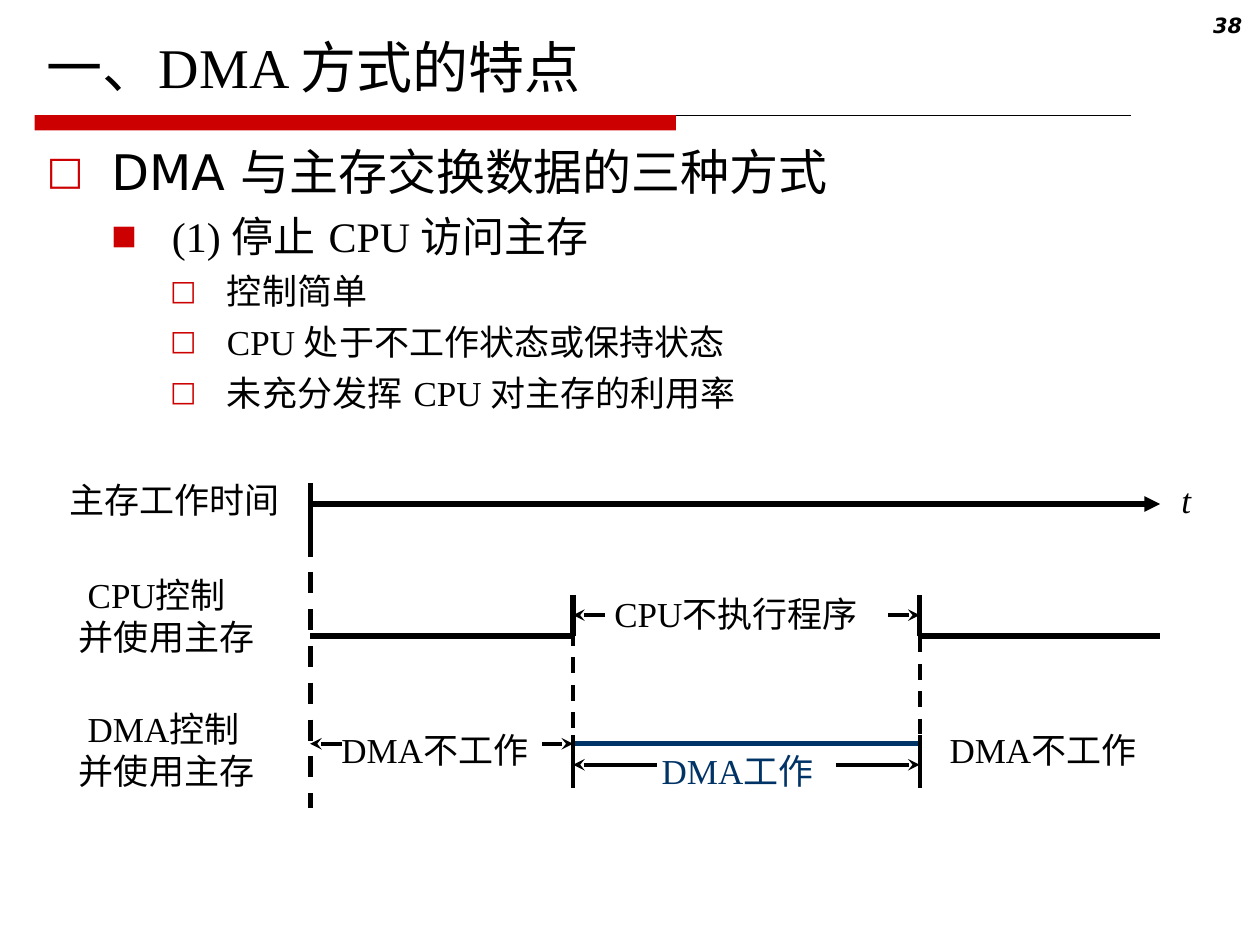
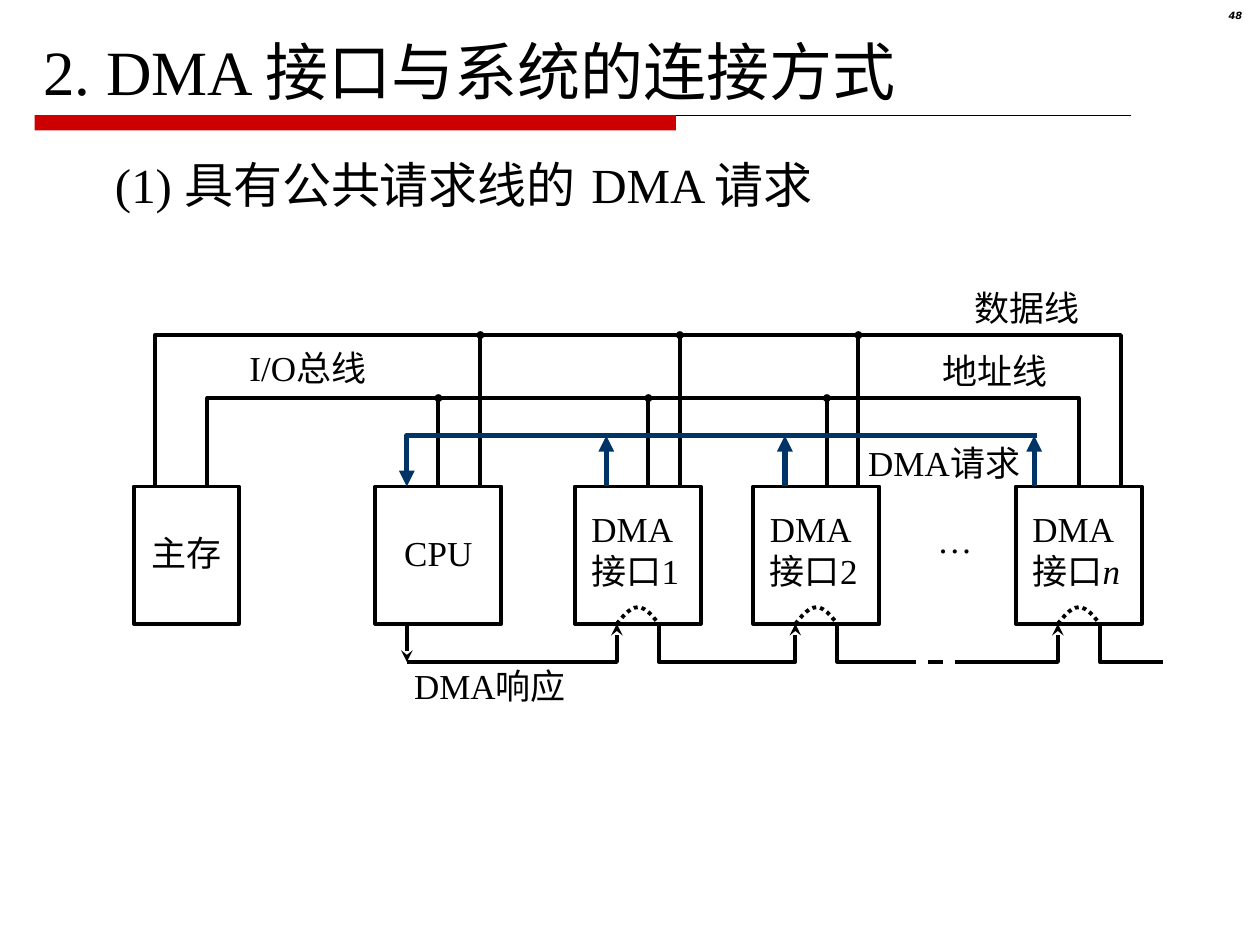
from dataclasses import dataclass
from math import pi, sin

from lxml.etree import SubElement
from pptx import Presentation
from pptx.dml.color import RGBColor
from pptx.enum.dml import MSO_LINE
from pptx.enum.shapes import MSO_CONNECTOR, MSO_SHAPE
from pptx.enum.text import MSO_ANCHOR, MSO_AUTO_SIZE, PP_ALIGN
from pptx.oxml.ns import qn
from pptx.shapes.autoshape import Shape
from pptx.shapes.connector import Connector
from pptx.slide import Slide
from pptx.util import Pt


@dataclass(frozen=True)
class Theme:
    ink: str = "000000"
    accent: str = "CC0000"
    signal: str = "003366"
    serif: str = "Times New Roman"
    sans: str = "DejaVu Sans"
    title: float = 32
    big_title: float = 36
    heading: float = 28
    item: float = 24
    label: float = 20
    thin: float = 0.5
    medium: float = 2.25
    thick: float = 3


T = Theme()


@dataclass(frozen=True)
class Box:
    x: float
    y: float
    w: float
    h: float

    def emu(self) -> tuple:
        return Pt(self.x), Pt(self.y), Pt(self.w), Pt(self.h)


@dataclass(frozen=True)
class Label:
    text: str
    x: float
    y: float
    w: float
    h: float = 31.5
    color: str = T.ink
    italic: bool = False
    first_indent: float = 0


@dataclass(frozen=True)
class Line:
    x1: float
    y1: float
    x2: float
    y2: float
    width: float = T.medium
    color: str = T.ink
    tail: str = ""
    dash: MSO_LINE | None = None


@dataclass(frozen=True)
class Bullet:
    char: str
    left: float
    hang: float
    before: float
    size: float
    scale: int


BULLETS = (
    Bullet("□", 37, 38.5, 7, T.heading, 80),
    Bullet("■", 71.5, 34.5, 6, T.item, 64),
    Bullet("□", 103, 32.5, 5, T.label, 80),
)


@dataclass(frozen=True)
class Interface:
    number: str
    x: float
    request: float = 18
    address: float = 42


def write(p, text: str, *, size: float = T.label, color: str = T.ink,
          font: str = T.serif, bold: bool = False, italic: bool = False) -> None:
    """Add a run: Latin letters in the given font, Chinese in the sans font."""
    r = p.add_run()
    r.text = text
    f = r.font
    f.size, f.bold, f.italic, f.name = Pt(size), bold, italic, font
    f.color.rgb = RGBColor.from_string(color)
    SubElement(r._r.get_or_add_rPr(), qn("a:ea")).set("typeface", T.sans)


def set_indent(p, left: float, first: float) -> None:
    pPr = p._p.get_or_add_pPr()
    pPr.set("marL", str(Pt(left)))
    pPr.set("indent", str(Pt(first)))


def set_bullet(p, b: Bullet) -> None:
    set_indent(p, b.left, -b.hang)
    p.space_before = Pt(b.before)
    pPr = p._p.get_or_add_pPr()
    SubElement(SubElement(pPr, qn("a:buClr")), qn("a:srgbClr")).set("val", T.accent)
    SubElement(pPr, qn("a:buSzPct")).set("val", str(b.scale * 1000))
    SubElement(pPr, qn("a:buFont")).set("typeface", T.sans)
    SubElement(pPr, qn("a:buChar")).set("char", b.char)


def style_line(obj: Shape | Connector, width: float, color: str,
               tail: str = "", dash: MSO_LINE | None = None) -> None:
    obj.line.color.rgb = RGBColor.from_string(color)
    obj.line.width = Pt(width)
    if dash is not None:
        obj.line.dash_style = dash
    if tail:
        end = SubElement(obj.line._get_or_add_ln(), qn("a:tailEnd"))
        end.set("type", tail)
        if tail == "oval":
            end.set("w", "sm")
            end.set("len", "sm")


def add_line(s: Slide, line: Line) -> Connector:
    c = s.shapes.add_connector(MSO_CONNECTOR.STRAIGHT, Pt(line.x1), Pt(line.y1),
                               Pt(line.x2), Pt(line.y2))
    style_line(c, line.width, line.color, line.tail, line.dash)
    SubElement(c._element.spPr, qn("a:effectLst"))
    return c


def add_path(s: Slide, points: list[tuple[float, float]], width: float = T.medium,
             color: str = T.ink, tail: str = "", dash: MSO_LINE | None = None) -> None:
    """Draw an open, unfilled polyline."""
    start, *rest = [(Pt(x), Pt(y)) for x, y in points]
    builder = s.shapes.build_freeform(*start)
    builder.add_line_segments(rest, close=False)
    sp = builder.convert_to_shape()
    sp.shadow.inherit = False
    sp.fill.background()
    style_line(sp, width, color, tail, dash)


def add_label(s: Slide, label: Label) -> None:
    sp = s.shapes.add_textbox(*Box(label.x, label.y, label.w, label.h).emu())
    tf = sp.text_frame
    tf.word_wrap = True
    tf.auto_size = MSO_AUTO_SIZE.NONE
    tf.margin_right = 0
    for i, text in enumerate(label.text.split("\n")):
        p = tf.add_paragraph() if i else tf.paragraphs[0]
        if i == 0 and label.first_indent:
            set_indent(p, 0, label.first_indent)
        write(p, text, color=label.color, italic=label.italic)


def add_block(s: Slide, x: float, w: float) -> Shape:
    """Draw one outlined unit of the bus diagram, ready for text."""
    sp = s.shapes.add_shape(MSO_SHAPE.RECTANGLE, *Box(x, UNIT_TOP, w, UNIT_BOTTOM - UNIT_TOP).emu())
    sp.shadow.inherit = False
    sp.fill.background()
    style_line(sp, T.medium, T.ink)
    tf = sp.text_frame
    tf.word_wrap = True
    tf.vertical_anchor = MSO_ANCHOR.MIDDLE
    tf.margin_left = tf.margin_right = tf.margin_top = 0
    tf.margin_bottom = Pt(3)
    return sp


def fill_placeholder(sp: Shape, box: Box, anchor: MSO_ANCHOR):
    sp.left, sp.top, sp.width, sp.height = box.emu()
    tf = sp.text_frame
    tf.word_wrap = True
    tf.auto_size = MSO_AUTO_SIZE.NONE
    tf.vertical_anchor = anchor
    p = tf.paragraphs[0]
    p.alignment = PP_ALIGN.LEFT
    return tf


def start_slide(prs, title: str, box: Box, size: float, anchor: MSO_ANCHOR,
                number: str, number_size: float, number_spacing: float) -> Slide:
    """Add a slide with its red band, title and page number."""
    s = prs.slides.add_slide(prs.slide_layouts[1])
    band = s.shapes.add_shape(MSO_SHAPE.RECTANGLE, *Box(19.75, 65.75, 366.5, 8.75).emu())
    band.shadow.inherit = False
    band.fill.solid()
    band.fill.fore_color.rgb = RGBColor.from_string(T.accent)
    band.line.fill.background()
    add_line(s, Line(386.25, 65.75, 646.25, 65.75, T.thin))

    tf = fill_placeholder(s.shapes.title, box, anchor)
    write(tf.paragraphs[0], title, size=size)

    tf = s.shapes.add_textbox(*Box(674.5, 3.5, 42.5, 16.5).emu()).text_frame
    tf.word_wrap = True
    p = tf.paragraphs[0]
    p.alignment, p.line_spacing = PP_ALIGN.RIGHT, number_spacing
    write(p, number, size=number_size, font=T.sans, bold=True, italic=True)
    return s


def build_timing_slide(prs) -> None:
    s = start_slide(prs, "一、DMA 方式的特点", Box(19.5, 9.5, 680.5, 51), T.title,
                    MSO_ANCHOR.BOTTOM, "38", 12, 1.0)
    tf = fill_placeholder(s.placeholders[1], Box(19.5, 77, 680.5, 448), MSO_ANCHOR.TOP)
    items = ((0, "DMA 与主存交换数据的三种方式"), (1, "(1) 停止 CPU 访问主存"),
             (2, "控制简单"), (2, "CPU 处于不工作状态或保持状态"),
             (2, "未充分发挥 CPU 对主存的利用率"))
    for i, (level, text) in enumerate(items):
        p = tf.add_paragraph() if i else tf.paragraphs[0]
        p.level = level
        set_bullet(p, BULLETS[level])
        write(p, text, size=BULLETS[level].size, font=T.serif if level else T.sans)

    start, stop, resume, end = 177.25, 327.5, 525.5, 663
    time_y, gap_y, cpu_y, dma_y, work_y = 288, 351.5, 363.5, 425, 437
    lines = [
        Line(start, 276, start, 306, T.thick),
        Line(start, time_y, end, time_y, T.thick, tail="triangle"),
        Line(start, 306, start, 462, T.thick, dash=MSO_LINE.DASH),
        Line(start, cpu_y, stop, cpu_y, T.thick),
        Line(resume, cpu_y, end, cpu_y, T.thick),
        Line(stop, 360, stop, 426, dash=MSO_LINE.DASH),
        Line(resume, 348, resume, 426, dash=MSO_LINE.DASH),
        Line(stop, dma_y, resume, dma_y, T.thick, T.signal),
    ]
    for x in (stop, resume):
        lines += [Line(x, 340, x, cpu_y, T.thick), Line(x, 420, x, 450)]
    for left, right, y, length in ((stop, resume, gap_y, 18), (start, stop, dma_y, 18),
                                   (stop, resume, work_y, 48)):
        lines += [Line(left + length, y, left, y, tail="stealth"),
                  Line(right - length, y, right, y, tail="stealth")]
    for line in lines:
        add_line(s, line)

    for label in (
        Label("主存工作时间", 32.5, 270, 134.5),
        Label("CPU控制\n并使用主存", 38, 324, 114.5, 55.5, first_indent=5),
        Label("DMA控制\n并使用主存", 38, 401, 114.5, 55.5, first_indent=5),
        Label("CPU不执行程序", 344, 335, 158.5),
        Label("DMA不工作", 188, 412.5, 126),
        Label("DMA不工作", 535.5, 412.5, 126),
        Label("DMA工作", 371, 425, 106, color=T.signal),
        Label("t", 668, 270, 19.5, italic=True),
    ):
        add_label(s, label)


UNIT_TOP, UNIT_BOTTOM = 278, 356.5
DATA_Y, ADDRESS_Y, REQUEST_Y, REPLY_Y = 191.5, 227.5, 249, 378.25
DATA_TAP, REPLY_IN, REPLY_OUT = 60, 24, 48


def build_connection_slide(prs) -> None:
    s = start_slide(prs, "2. DMA 接口与系统的连接方式", Box(17.5, 15, 520, 50.5), T.big_title,
                    MSO_ANCHOR.TOP, "48", 5.7, 0.8)
    tf = fill_placeholder(s.placeholders[1], Box(58.5, 84.5, 474, 41), MSO_ANCHOR.TOP)
    p = tf.paragraphs[0]
    set_indent(p, 0, 0)
    p.space_before = Pt(0)
    SubElement(p._p.get_or_add_pPr(), qn("a:buNone"))
    write(p, "(1) 具有公共请求线的 DMA 请求", size=T.heading)

    memory_x, cpu_x, unit_w = 76.5, 214.5, 72
    interfaces = (Interface("1", 328.5), Interface("2", 430.5),
                  Interface("n", 580.5, request=10.5, address=36))
    first, second, last = interfaces
    memory, cpu = add_block(s, memory_x, 60), add_block(s, cpu_x, unit_w)
    for unit, name in ((memory, "主存"), (cpu, "CPU")):
        p = unit.text_frame.paragraphs[0]
        p.alignment = PP_ALIGN.CENTER
        write(p, name)

    for unit in interfaces:
        tf = add_block(s, unit.x, unit_w).text_frame
        tf.margin_left, tf.margin_bottom = Pt(9.5), Pt(6)
        for p, text in ((tf.paragraphs[0], "DMA"), (tf.add_paragraph(), "接口")):
            p.alignment = PP_ALIGN.LEFT
            write(p, text)
        write(p, unit.number, italic=unit is last)
        span, steps = REPLY_OUT - REPLY_IN, 12
        add_path(s, [(unit.x + REPLY_IN + span * i / steps, UNIT_BOTTOM - 9.5 * sin(pi * i / steps))
                     for i in range(steps + 1)], dash=MSO_LINE.ROUND_DOT)
        add_line(s, Line(unit.x + unit.request, UNIT_TOP, unit.x + unit.request, REQUEST_Y,
                         T.thick, T.signal, "triangle"))

    for left, right, y in ((memory_x + 12, last.x + DATA_TAP, DATA_Y),
                           (memory_x + 42, last.x + last.address, ADDRESS_Y)):
        add_path(s, [(left, UNIT_TOP), (left, y), (right, y), (right, UNIT_TOP)])
    for x, address in ((cpu_x, unit_w / 2), (first.x, first.address), (second.x, second.address)):
        add_line(s, Line(x + DATA_TAP, UNIT_TOP, x + DATA_TAP, DATA_Y, tail="oval"))
        tap = add_line(s, Line(x + address, UNIT_TOP, x + address, ADDRESS_Y, tail="oval"))
        if x == cpu_x:
            tap.begin_connect(cpu, 0)

    cpu_port = cpu_x + 18
    add_path(s, [(last.x + 12, REQUEST_Y), (cpu_port, REQUEST_Y), (cpu_port, UNIT_TOP)],
             T.thick, T.signal, "triangle")

    dash_start, dash_end = second.x + REPLY_OUT + 36, last.x + REPLY_IN - 54
    add_line(s, Line(cpu_port, UNIT_BOTTOM, cpu_port, REPLY_Y, tail="stealth"))
    add_line(s, Line(dash_start, REPLY_Y, dash_end, REPLY_Y, dash=MSO_LINE.DASH))
    for x, unit in ((cpu_port, first), (dash_end, last)):
        port = unit.x + REPLY_IN
        add_path(s, [(x, REPLY_Y), (port, REPLY_Y), (port, UNIT_BOTTOM)], tail="stealth")
    out, port = first.x + REPLY_OUT, second.x + REPLY_IN
    add_path(s, [(out, UNIT_BOTTOM), (out, REPLY_Y), (port, REPLY_Y), (port, UNIT_BOTTOM)],
             tail="stealth")
    for unit in (second, last):
        out = unit.x + REPLY_OUT
        add_path(s, [(out, UNIT_BOTTOM), (out, REPLY_Y), (out + 36, REPLY_Y)])

    for label in (
        Label("…", 528.5, 292.5, 34.5),
        Label("DMA响应", 229.5, 376, 106),
        Label("I/O总线", 135.5, 194.5, 85.5),
        Label("数据线", 549.5, 160, 74),
        Label("地址线", 531.5, 196, 74),
        Label("DMA请求", 489, 249, 106),
    ):
        add_label(s, label)


def main() -> None:
    prs = Presentation()
    prs.slide_width, prs.slide_height = Pt(720), Pt(540)
    build_timing_slide(prs)
    build_connection_slide(prs)
    prs.save("out.pptx")


if __name__ == "__main__":
    main()
